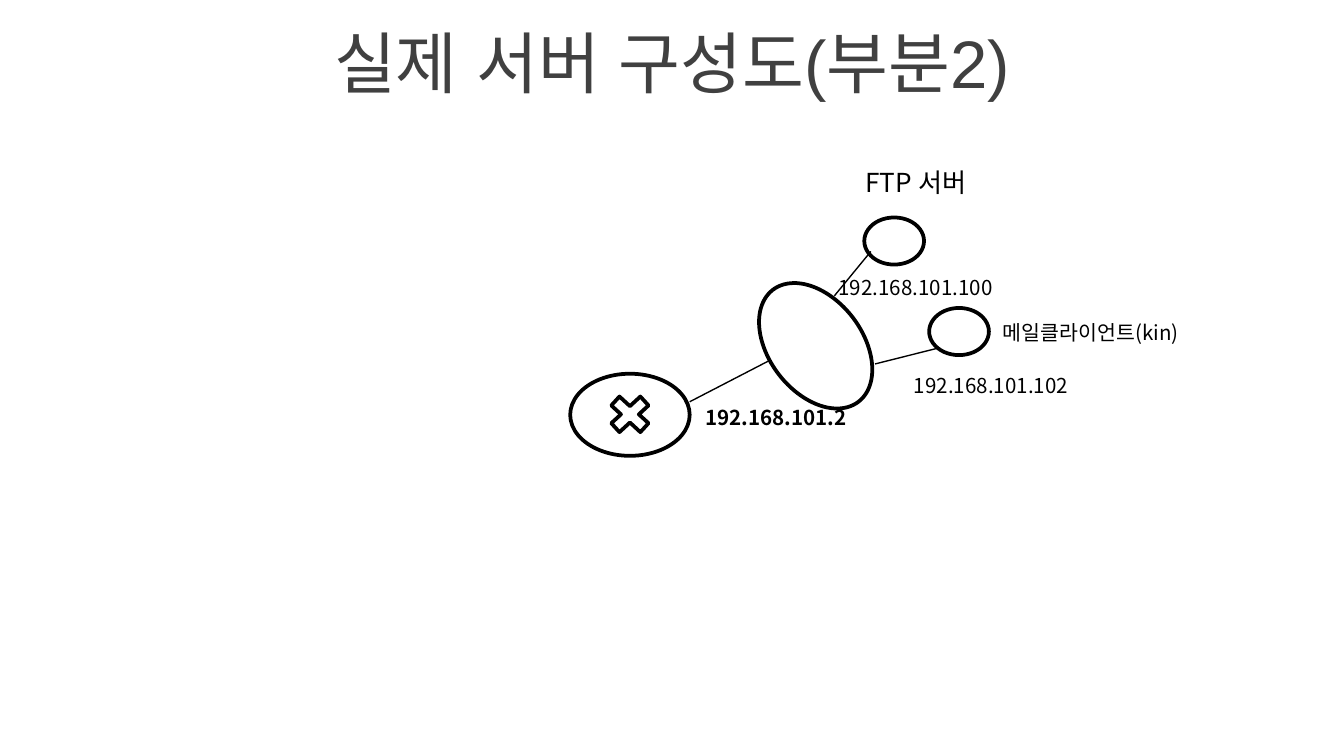
"""Build the slide showing part 2 of the server layout."""
from lxml import etree
from pptx import Presentation
from pptx import util as u
from pptx.dml.color import RGBColor
from pptx.enum import shapes, text
from pptx.oxml import ns

Pt = u.Pt
THEME = {
    "ink": RGBColor(0, 0, 0), "title": RGBColor(0x40, 0x40, 0x40),
    "paper": RGBColor(255, 255, 255),
    "title_font": "Arial", "font": "Noto Sans CJK KR",
    "title_size": 36, "name_size": 14, "gap_size": 16, "label_size": 11,
    "outline": 2, "link": 0.75,
}


def add_text(x, y, w, h, runs, font, color, bold=False):
    tf = s.shapes.add_textbox(Pt(x), Pt(y), Pt(w), Pt(h)).text_frame
    tf.word_wrap = True
    p = tf.paragraphs[0]
    for words, size in runs:
        r = p.add_run()
        r.text = words
        r.font.size = Pt(size)
        r.font.name = font
        r.font.bold = bold
        r.font.color.rgb = color
        ea = etree.SubElement(r.font._element, ns.qn("a:ea"))
        ea.set("typeface", font)
    return tf


prs = Presentation()
prs.slide_width, prs.slide_height = Pt(720), Pt(405)
s = prs.slides.add_slide(prs.slide_layouts[6])

tf = add_text(0, 10, 720, 45.5, [("실제 서버 구성도(부분2)", THEME["title_size"])],
              THEME["title_font"], THEME["title"])
tf.vertical_anchor = text.MSO_ANCHOR.MIDDLE
tf.paragraphs[0].alignment = text.PP_ALIGN.CENTER

OVAL, CROSS = shapes.MSO_SHAPE.OVAL, shapes.MSO_SHAPE.MATH_MULTIPLY
nodes = [
    (OVAL, 305.5, 200.25, 64, 44, 0, True),
    (CROSS, 322.5, 208.25, 30, 27.5, 0, True),
    (OVAL, 412, 147.5, 50, 75.5, 322.6, False),
    (OVAL, 463, 116.5, 32, 25.25, 0, False),
    (OVAL, 497.75, 165, 32, 25.25, 0, False),
]
for kind, x, y, w, h, turn, filled in nodes:
    sp = s.shapes.add_shape(kind, Pt(x), Pt(y), Pt(w), Pt(h))
    sp.shadow.inherit = False
    sp.rotation = turn
    sp.line.color.rgb = THEME["ink"]
    sp.line.width = Pt(THEME["outline"])
    if filled:
        sp.fill.solid()
        sp.fill.fore_color.rgb = THEME["paper"]
    else:
        sp.fill.background()

links = [
    (412.5, 193, 369.5, 215.25),
    (466.5, 134.75, 447, 158.5),
    (468.75, 195, 502.5, 186.5),
]
for ends in links:
    link = s.shapes.add_connector(shapes.MSO_CONNECTOR.STRAIGHT, *map(Pt, ends))
    link.line.color.rgb = THEME["ink"]
    link.line.width = Pt(THEME["link"])
    etree.SubElement(link._element.spPr, ns.qn("a:effectLst"))

name, label = THEME["name_size"], THEME["label_size"]
labels = [
    (456.5, 83.5, 96.5, 26.5, [("FTP", name), (" ", THEME["gap_size"]), ("서버", name)], False),
    (442, 144, 125.25, 22.25, [("192.168.101.100", label)], False),
    (482.5, 196.5, 125.25, 22.25, [("192.168.101.102", label)], False),
    (370.75, 213.25, 125.25, 22.25, [("192.168.101.2", label)], True),
    (530, 167.75, 125.25, 38, [("메일클라이언트(kin)", label)], False),
]
for x, y, w, h, runs, bold in labels:
    add_text(x, y, w, h, runs, THEME["font"], THEME["ink"], bold)

prs.save("out.pptx")
